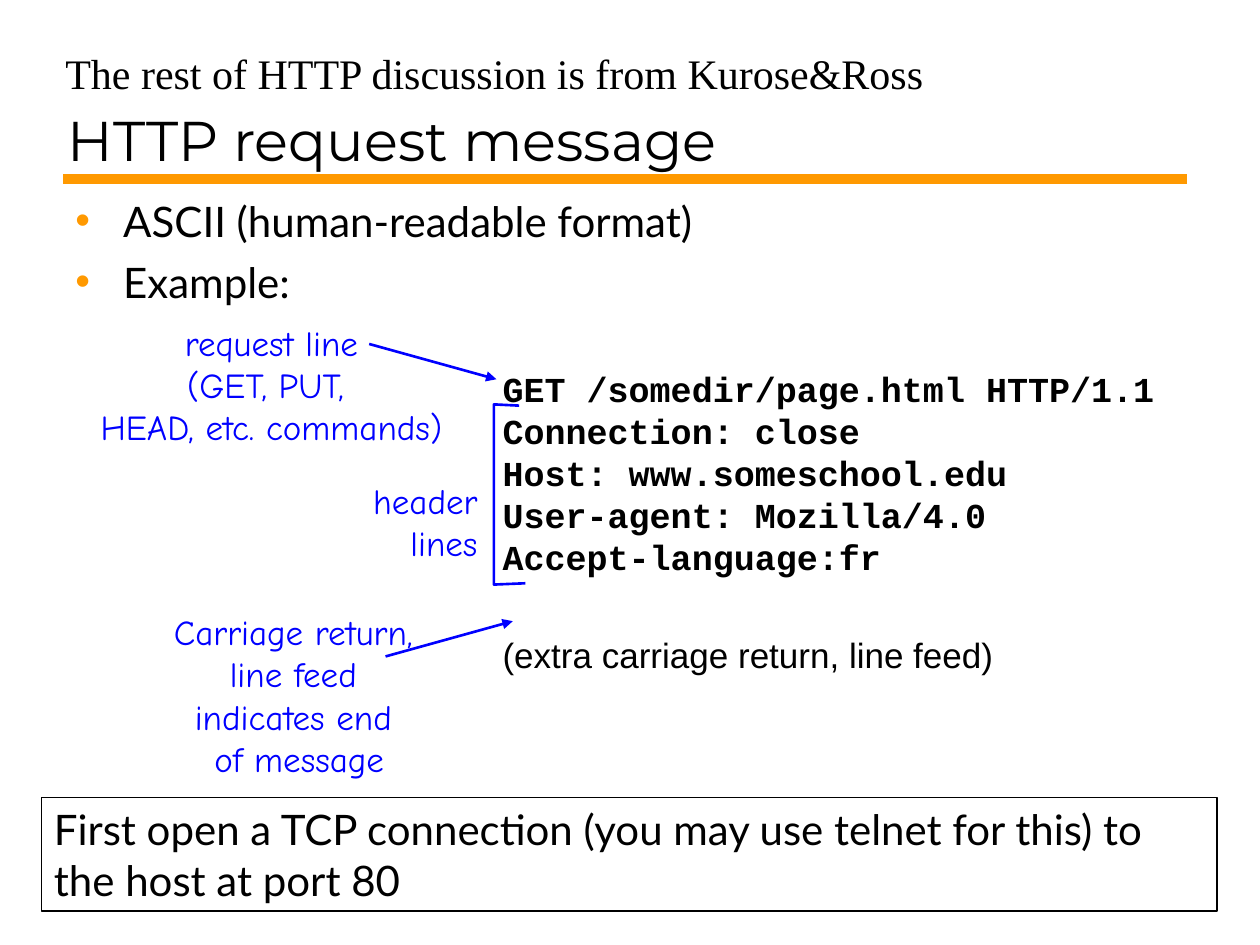
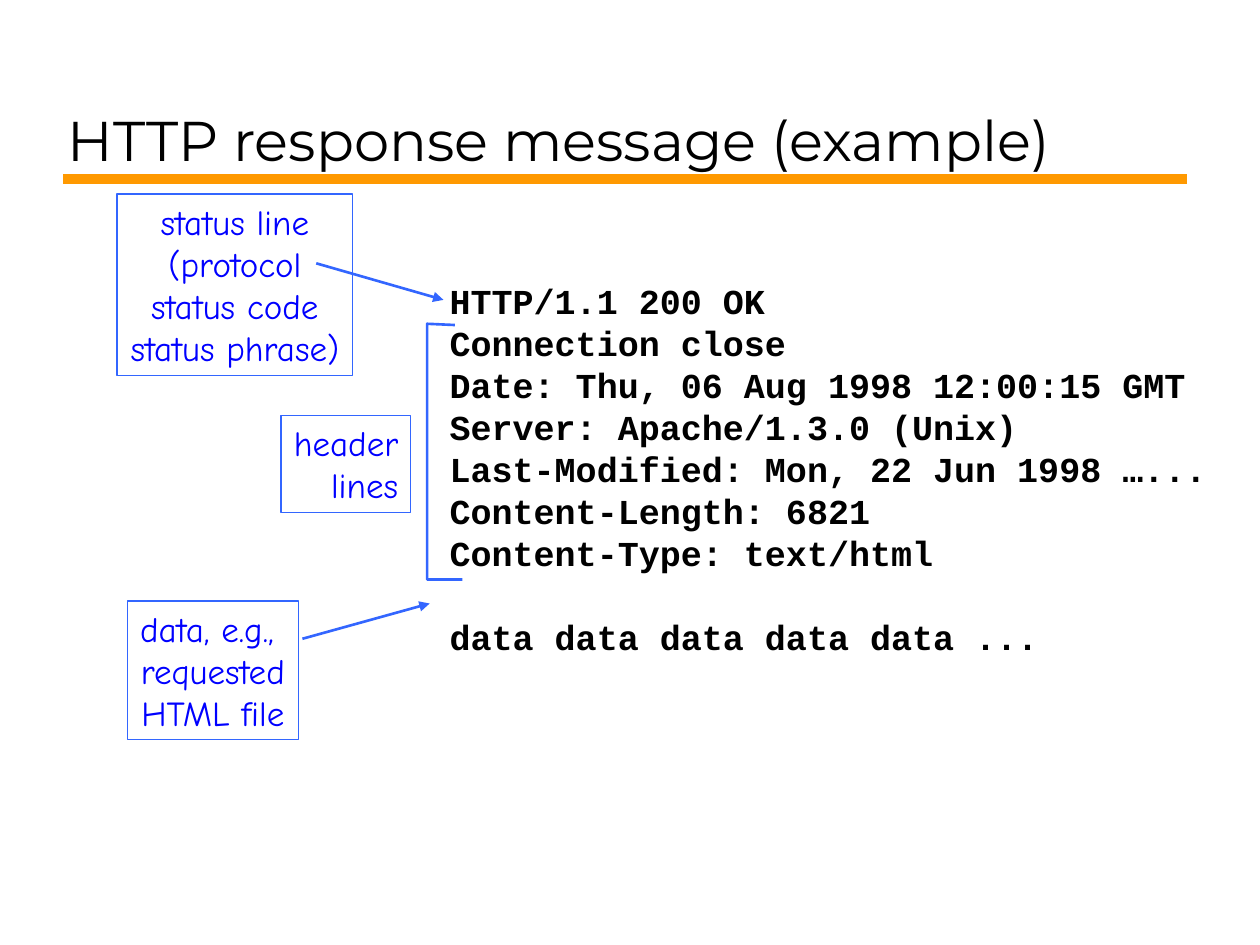
"""Build two slides on HTTP request and response messages."""
from lxml.etree import SubElement
from pptx import Presentation
from pptx.dml.color import RGBColor
from pptx.enum.shapes import MSO_CONNECTOR as Connector, MSO_SHAPE as Preset
from pptx.enum.text import MSO_ANCHOR as Anchor, PP_ALIGN as Align
from pptx.oxml.ns import qn
from pptx.util import Inches, Pt

BLACK, ORANGE, BLUE, SOFT_BLUE = "000000", "FF9900", "0000FF", "3366FF"
CODE = dict(font="Courier New", bold=True, wrap=False)
LABEL = dict(font="Comic Neue", color=BLUE, wrap=False)

deck = Presentation()
deck.slide_width, deck.slide_height = Inches(10), Inches(7.5)
COLUMN, ROW = deck.slide_width // 100, deck.slide_height // 75


def paint(fill, color):
    """Fill with a solid colour given as a hex string."""
    fill.solid()
    fill.fore_color.rgb = RGBColor.from_string(color)


def write(page, text, area, font="Lato", size=20, color=BLACK, bold=False, align=Align.LEFT,
          anchor=Anchor.TOP, wrap=True, border=None, bullet=None, gap=0):
    """Write one paragraph per line of text in an area given in columns and rows."""
    left, top, width, height = area
    place = [round(length) for length in (left * COLUMN, top * ROW, width * COLUMN, height * ROW)]
    if border:
        box = page.shapes.add_shape(Preset.RECTANGLE, *place)
        box.shadow.inherit = False
        box.fill.background()
        paint(box.line.fill, border)
        box.line.width = Pt(0.75)
    else:
        box = page.shapes.add_textbox(*place)
    frame = box.text_frame
    frame.word_wrap, frame.vertical_anchor = wrap, anchor
    for index, line in enumerate(text.split("\n")):
        para = frame.add_paragraph() if index else frame.paragraphs[0]
        para.alignment, para.line_spacing = align, Pt(size * 1.2)
        if index and gap:
            para.space_before = Pt(gap)
        if bullet:
            properties = para._p.get_or_add_pPr()
            properties.set("marL", str(Inches(0.38)))
            properties.set("indent", str(-Inches(0.38)))
            SubElement(SubElement(properties, qn("a:buClr")), qn("a:srgbClr"), val=bullet)
            SubElement(properties, qn("a:buFont"), typeface="Arial")
            SubElement(properties, qn("a:buChar"), char="•")
        span = para.add_run()
        span.text = line
        span.font.name, span.font.size, span.font.bold = font, Pt(size), bold
        paint(span.font.fill, color)
    return frame


messages = [
    dict(
        title="HTTP request message",
        code="GET /somedir/page.html HTTP/1.1\nConnection: close\nHost: www.someschool.edu\n"
             "User-agent: Mozilla/4.0\nAccept-language:fr\n(extra carriage return, line feed)",
        code_area=(38.9, 28.7, 53.8, 25.7), last_gap=32, ink=BLUE, border=None,
        labels=[
            ("request line\n(GET, PUT, \nHEAD, etc. commands)", (6.9, 25, 29.3, 11), Align.CENTER),
            ("header\nlines", (28.6, 37.6, 10.3, 7.7), Align.RIGHT),
            ("Carriage return, \nline feed \nindicates end \nof message",
             (12.8, 48, 21.9, 14.4), Align.CENTER),
        ],
        arrows=[(29.3, 27.3, 39.4, 30.1), (30.6, 52.1, 40.7, 49.3)],
        bracket=[(41.2, 32.2), (39.2, 32.1), (39.2, 46.4), (41.7, 46.3)],
    ),
    dict(
        title="HTTP response message (example)",
        code="HTTP/1.1 200 OK\nConnection close\nDate: Thu, 06 Aug 1998 12:00:15 GMT\n"
             "Server: Apache/1.3.0 (Unix)\nLast-Modified: Mon, 22 Jun 1998 …...\n"
             "Content-Length: 6821\nContent-Type: text/html\ndata data data data data ...",
        code_area=(34.7, 21.7, 63.8, 31), last_gap=24, ink=SOFT_BLUE, border=SOFT_BLUE,
        labels=[
            ("status line\n(protocol\nstatus code\nstatus phrase)",
             (9.3, 15.4, 18.7, 14.4), Align.CENTER),
            ("header\nlines", (22.3, 33, 10.3, 7.7), Align.RIGHT),
            ("data, e.g., \nrequested\nHTML file", (10.1, 47.7, 13.6, 11), Align.CENTER),
        ],
        arrows=[(25.1, 20.9, 35.2, 23.8), (24, 50.7, 34.1, 47.9)],
        bracket=[(36.1, 25.8), (33.9, 25.7), (33.9, 46), (36.7, 46)],
    ),
]

for message in messages:
    page = deck.slides.add_slide(deck.slide_layouts[6])
    strokes = [((5, 14.2, 94.2, 14.2), ORANGE, 6, False)]
    strokes += [(ends, message["ink"], 1.5, True) for ends in message["arrows"]]

    write(page, message["title"], (4.4, 1.7, 89.7, 12.5), font="Montserrat", size=32,
          anchor=Anchor.BOTTOM)
    code = write(page, message["code"], message["code_area"], **CODE)
    code.paragraphs[-1].space_before = Pt(message["last_gap"])
    if message is messages[0]:
        remark = code.paragraphs[-1].runs[0].font
        remark.name, remark.bold = "Arial", False
    for text, area, align in message["labels"]:
        write(page, text, area, align=align, border=message["border"], **LABEL)

    for (left, top, right, bottom), color, width, pointed in strokes:
        stroke = page.shapes.add_connector(
            Connector.STRAIGHT, round(left * COLUMN), round(top * ROW),
            round(right * COLUMN), round(bottom * ROW))
        paint(stroke.line.fill, color)
        stroke.line.width = Pt(width)
        if pointed:
            SubElement(stroke.line._get_or_add_ln(), qn("a:tailEnd"), type="triangle")
        SubElement(stroke._element.spPr, qn("a:effectLst"))

    start, *corners = [(round(x * COLUMN), round(y * ROW)) for x, y in message["bracket"]]
    outline = page.shapes.build_freeform(*start)
    outline.add_line_segments(corners, close=False)
    bracket = outline.convert_to_shape()
    bracket.shadow.inherit = False
    bracket.fill.background()
    paint(bracket.line.fill, message["ink"])
    bracket.line.width = Pt(1.5)

request = deck.slides[0]
write(request, "ASCII (human-readable format)\nExample:", (5, 15, 89.4, 51.3), size=24,
      bullet=ORANGE, gap=6)
write(request, "First open a TCP connection (you may use telnet for this) to the host at port 80",
      (3.3, 63.3, 93.3, 9), size=24, border=BLACK)
write(request, "The rest of HTTP discussion is from Kurose&Ross", (4.2, 3.3, 89.2, 5),
      font="Times New Roman", size=24)

deck.save("out.pptx")
